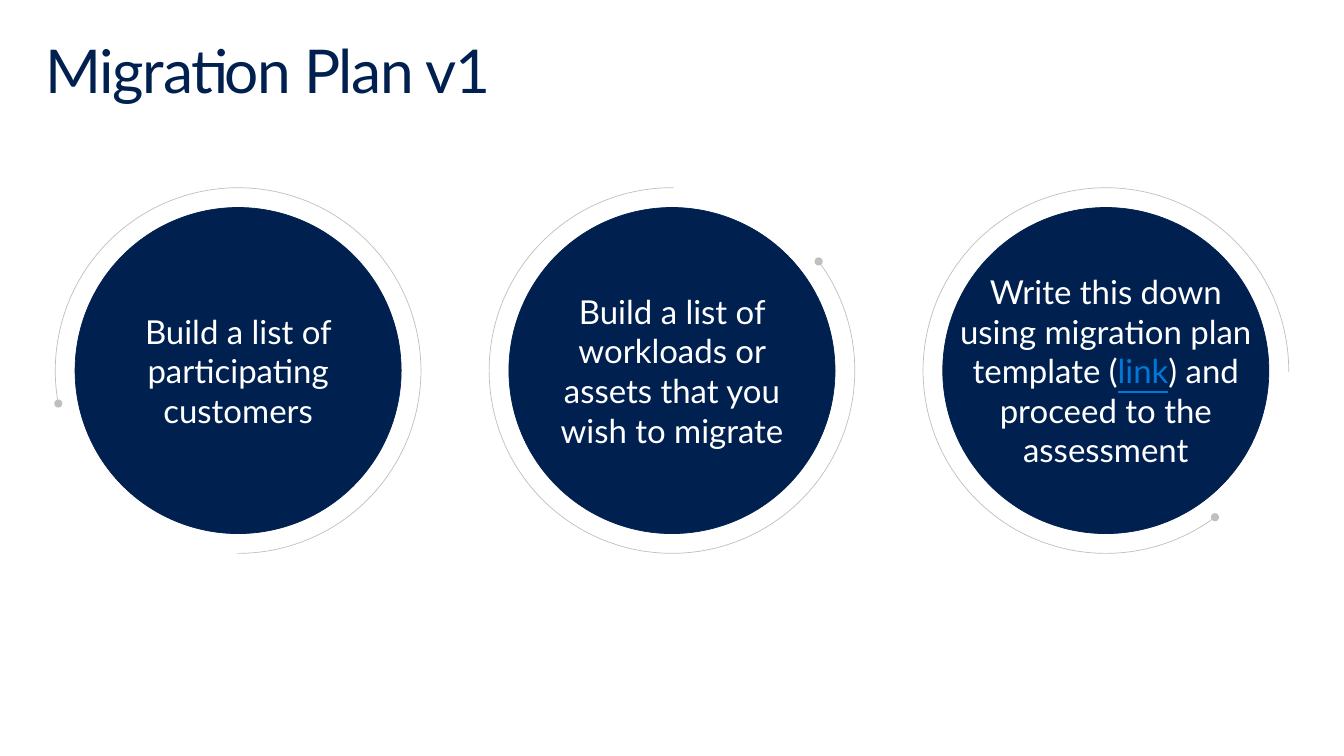
import pptx
import pptx.util
import pptx.dml.color
import pptx.enum.shapes
import pptx.enum.text
import pptx.oxml
import pptx.oxml.ns

Inches = pptx.util.Inches
Pt = pptx.util.Pt
SHAPES = pptx.enum.shapes.MSO_SHAPE

COLORS = {"navy": "002050", "white": "FFFFFF", "ring": "BFBFBF", "link": "0078D7"}
FONT = "Lato"

RING_SIZE = 3.7
RING_GAP = 0.2
RING_LEFT, RING_TOP, STEP_PITCH = 0.56, 1.9, 4.39

# Each step: lines of (text, color) spans, wrapping, arc start and end in degrees, rotation
STEPS = [
    ([[("Build a list of participating customers", "white")]],
     True, (169.6, 90.2), 0),
    ([[("Build a list of workloads or assets that you wish to migrate", "white")]],
     True, (323.36, 270.45), 0),
    ([[("Write this down", "white")],
      [("using migration plan", "white")],
      [("template (", "white"), ("link", "link"), (") and", "white")],
      [("proceed to the", "white")],
      [("assessment", "white")]],
     False, (323.36, 270.45), 90),
]


def rgb(name):
    return pptx.dml.color.RGBColor.from_string(COLORS[name])


def set_font(font, size, color):
    font.name = FONT
    font.size = Pt(size)
    font.color.rgb = rgb(color)


def add_title(page, left, top, width, height):
    box = page.shapes.add_textbox(Inches(left), Inches(top), Inches(width), Inches(height))
    frame = box.text_frame
    frame.word_wrap = True
    frame.margin_left = frame.margin_right = Inches(0.16)
    frame.margin_top = frame.margin_bottom = Inches(0.1)
    para = frame.paragraphs[0]
    para.line_spacing = 0.9
    set_font(para.font, 44, "navy")
    span = para.add_run()
    span.text = "Migration Plan v1"
    span.font._element.set("spc", "-100")


def add_outlined(page, preset, left, top, size, color):
    shape = page.shapes.add_shape(
        preset, Inches(left), Inches(top), Inches(size), Inches(size))
    shape.shadow.inherit = False
    shape.line.color.rgb = rgb(color)
    shape.line.width = Pt(0.5)
    return shape


def add_step(page, left, top, size, lines, wrap, angles, rotation):
    # Disc with its text
    disc = add_outlined(page, SHAPES.OVAL, left + RING_GAP, top + RING_GAP,
                        size - 2 * RING_GAP, "navy")
    disc.fill.solid()
    disc.fill.fore_color.rgb = rgb("navy")
    frame = disc.text_frame
    frame.word_wrap = wrap
    frame.vertical_anchor = pptx.enum.text.MSO_ANCHOR.MIDDLE
    frame.margin_left = frame.margin_right = frame.margin_top = frame.margin_bottom = 0
    para = frame.paragraphs[0]
    para.alignment = pptx.enum.text.PP_ALIGN.CENTER
    set_font(para.font, 24, "white")
    for index, line in enumerate(lines):
        if index:
            para.add_line_break()
        for text, color in line:
            span = para.add_run()
            span.text = text
            if color == "link":
                span.font.color.rgb = rgb(color)
                span.font.underline = True

    # Open ring starting with a dot
    ring = add_outlined(page, SHAPES.ARC, left, top, size, "ring")
    ring.fill.background()
    ring.rotation = rotation
    for index, angle in enumerate(angles):
        ring.adjustments[index] = angle * 0.6  # 60000 units per degree, scaled by 100000
    outline = ring._element.spPr.find(pptx.oxml.ns.qn("a:ln"))
    outline.append(pptx.oxml.parse_xml(
        f'<a:headEnd {pptx.oxml.ns.nsdecls("a")} type="oval"/>'))


def main():
    deck = pptx.Presentation()
    deck.slide_width = Inches(13.6)
    deck.slide_height = Inches(7.65)
    page = deck.slides.add_slide(deck.slide_layouts[6])
    add_title(page, 0.3, 0.32, 13, 0.9)
    for index, step in enumerate(STEPS):
        add_step(page, RING_LEFT + index * STEP_PITCH, RING_TOP, RING_SIZE, *step)
    deck.save("out.pptx")


if __name__ == "__main__":
    main()
